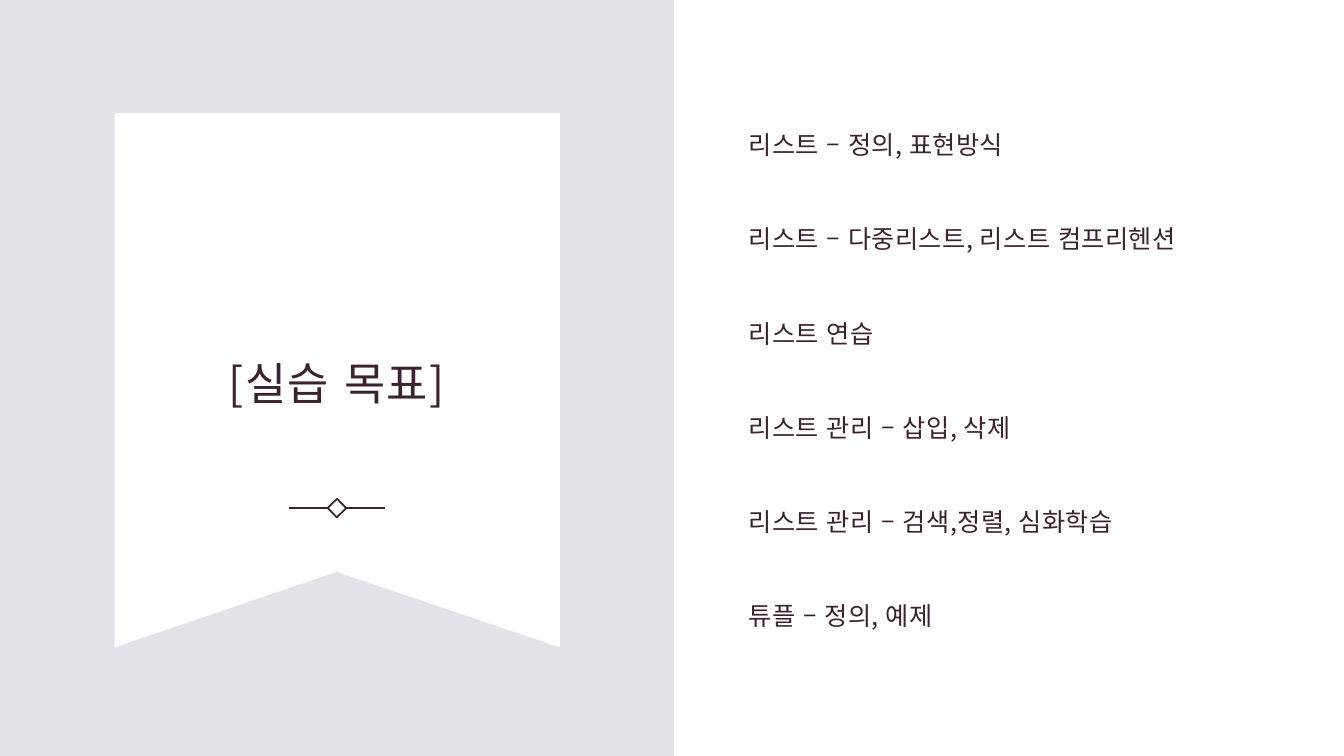
from typing import NamedTuple

from lxml.etree import SubElement
from pptx import Presentation
from pptx.dml.color import RGBColor
from pptx.enum.lang import MSO_LANGUAGE_ID as Language
from pptx.enum.shapes import MSO_CONNECTOR as Connector, MSO_SHAPE as Preset
from pptx.enum.text import MSO_ANCHOR as Anchor, MSO_AUTO_SIZE as AutoSize, PP_ALIGN as Align
from pptx.oxml.ns import qn
from pptx.util import Pt

GREY = RGBColor(0xE2, 0xE3, 0xE8)
WHITE = RGBColor(0xFF, 0xFF, 0xFF)
PLUM = RGBColor(0x3C, 0x22, 0x30)
FONT = "Noto Sans CJK KR"
STROKE = 1.25
RULE_Y = 362.9
FLAG = [(81.9, 80.6), (399.9, 80.6), (399.9, 462.4), (240.5, 408.5), (81.9, 462.4)]
GOALS = [
    "리스트 – 정의, 표현방식",
    "리스트 – 다중리스트, 리스트 컴프리헨션",
    "리스트 연습",
    "리스트 관리 – 삽입, 삭제",
    "리스트 관리 – 검색,정렬, 심화학습",
    "튜플 – 정의, 예제",
]


class Box(NamedTuple):
    left: float
    top: float
    width: float
    height: float


class Rule(NamedTuple):
    start: float
    end: float


class TextStyle(NamedTuple):
    size: float
    tracking: int
    frame: dict
    para: dict


PANEL = Box(0, 0, 481.5, 540)
DIAMOND = Box(236, 358.2, 9.4, 9.4)
RULES = [Rule(206.4, 234.4), Rule(247, 275)]
TITLE_BOX = Box(108, 211, 265, 118)
GOALS_BOX = Box(525.6, 67.7, 389.5, 404)

INSETS = {"margin_left": Pt(9), "margin_right": Pt(9), "margin_bottom": Pt(7.2),
          "word_wrap": True, "auto_size": AutoSize.NONE}
TITLE_STYLE = TextStyle(
    32, 90,
    INSETS | {"margin_top": Pt(8.64), "vertical_anchor": Anchor.MIDDLE},
    {"alignment": Align.CENTER, "line_spacing": 1.13, "space_before": Pt(0)})
GOALS_STYLE = TextStyle(
    18, 30,
    INSETS | {"margin_top": Pt(24.9), "vertical_anchor": Anchor.TOP},
    {"alignment": Align.LEFT, "line_spacing": 1.0, "space_after": Pt(45.7)})


def apply(target, values: dict) -> None:
    for name, value in values.items():
        setattr(target, name, value)


def paint(shape, fill: RGBColor | None, line: RGBColor | None) -> None:
    shape.shadow.inherit = False
    if fill is None:
        shape.fill.background()
    else:
        shape.fill.solid()
        shape.fill.fore_color.rgb = fill
    if line is None:
        shape.line.fill.background()
    else:
        shape.line.color.rgb = line
        shape.line.width = Pt(STROKE)


def add_rectangle(page, box: Box, fill: RGBColor | None, line: RGBColor | None):
    shape = page.shapes.add_shape(Preset.RECTANGLE, *map(Pt, box))
    paint(shape, fill, line)
    return shape


def add_flag(page) -> None:
    corners = [(Pt(x), Pt(y)) for x, y in FLAG]
    builder = page.shapes.build_freeform(*corners[0])
    builder.add_line_segments(corners[1:], close=True)
    paint(builder.convert_to_shape(), WHITE, None)


def add_rule(page, rule: Rule) -> None:
    line = page.shapes.add_connector(
        Connector.STRAIGHT, Pt(rule.start), Pt(RULE_Y), Pt(rule.end), Pt(RULE_Y))
    line.line.color.rgb = PLUM
    line.line.width = Pt(STROKE)
    SubElement(line.element.spPr, qn("a:effectLst"))


def write(shape, lines: list[str], style: TextStyle) -> None:
    frame = shape.text_frame
    apply(frame, style.frame)
    frame.text = "\n".join(lines)
    for para in frame.paragraphs:
        apply(para, style.para)
        span = para.runs[0]
        apply(span.font, {"name": FONT, "size": Pt(style.size), "bold": False,
                          "language_id": Language.KOREAN})
        span.font.color.rgb = PLUM
        properties = span.font._element
        properties.set("spc", str(style.tracking))
        SubElement(properties, qn("a:ea")).set("typeface", FONT)


def main() -> None:
    deck = Presentation()
    apply(deck, {"slide_width": Pt(960), "slide_height": Pt(540)})
    page = deck.slides.add_slide(deck.slide_layouts.get_by_name("Title Only"))

    add_rectangle(page, PANEL, GREY, None)
    add_flag(page)
    add_rectangle(page, DIAMOND, None, PLUM).rotation = 316
    for rule in RULES:
        add_rule(page, rule)

    title = page.shapes.title
    apply(title, {name: Pt(value) for name, value in TITLE_BOX._asdict().items()})
    write(title, ["[실습 목표]"], TITLE_STYLE)
    page.shapes.element.append(title.element)

    goals = page.shapes.add_textbox(*map(Pt, GOALS_BOX))
    write(goals, GOALS, GOALS_STYLE)
    deck.save("out.pptx")


if __name__ == "__main__":
    main()
